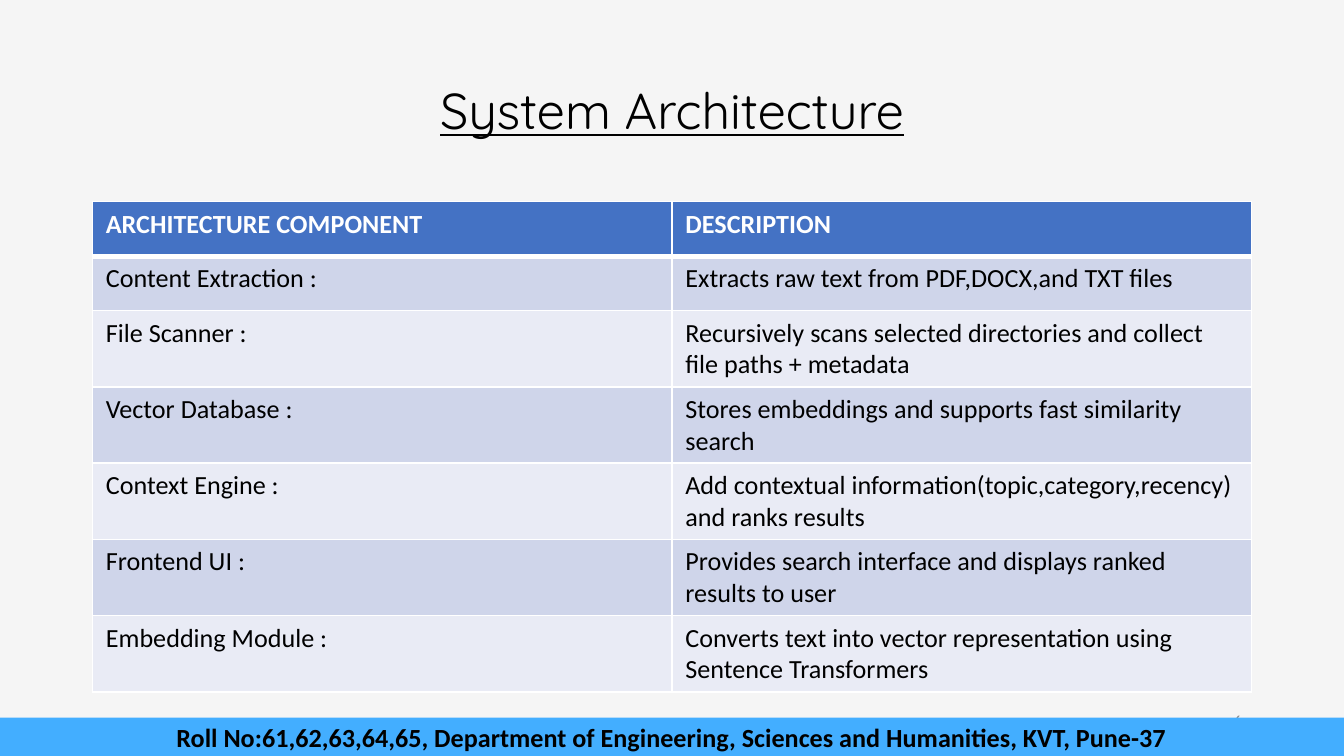
from dataclasses import dataclass

import pptx
import pptx.dml.color
import pptx.enum.shapes
import pptx.enum.text
import pptx.oxml
import pptx.oxml.ns
import pptx.util

Pt = pptx.util.Pt
ALIGN = pptx.enum.text.PP_ALIGN
MIDDLE = pptx.enum.text.MSO_ANCHOR.MIDDLE


@dataclass(frozen=True)
class Theme:
    background: str = "F5F5F5"
    header: str = "4472C4"
    band_dark: str = "CFD5EA"
    band_light: str = "E9EBF5"
    footer: str = "43AEFF"
    white: str = "FFFFFF"
    black: str = "000000"
    grey: str = "8C8C8C"
    title_font: str = "Quicksand"
    body_font: str = "Calibri"
    title_size: float = 27
    body_size: float = 14
    number_size: float = 9


@dataclass(frozen=True)
class Box:
    left: float
    top: float
    width: float
    height: float

    def emu(self) -> tuple:
        return Pt(self.left), Pt(self.top), Pt(self.width), Pt(self.height)


@dataclass(frozen=True)
class Component:
    name: str
    description: str


THEME = Theme()
SLIDE = Box(0, 0, 720, 405)
TITLE = Box(49.5, 21.6, 621, 78.3)
TABLE = Box(49.5, 108, 621, 204.4)
NUMBER = Box(508.5, 375.4, 162, 21.6)
FOOTER = Box(0, 384.5, 720, 20.5)

COMPONENTS = [
    Component("Content Extraction :", "Extracts raw text from PDF,DOCX,and TXT files"),
    Component("File Scanner :",
              "Recursively scans selected directories and collect file paths + metadata"),
    Component("Vector Database :", "Stores embeddings and supports fast similarity search"),
    Component("Context Engine :",
              "Add contextual information(topic,category,recency) and ranks results"),
    Component("Frontend UI :", "Provides search interface and displays ranked results to user"),
    Component("Embedding Module :",
              "Converts text into vector representation using Sentence Transformers"),
]


def rgb(color: str) -> pptx.dml.color.RGBColor:
    return pptx.dml.color.RGBColor.from_string(color)


def write(tf, text: str, *, size: float = THEME.body_size, font: str = THEME.body_font,
          color: str = THEME.black, bold: bool = False, underline: bool = False,
          align=ALIGN.LEFT, spacing: float = 1.0) -> None:
    p = tf.paragraphs[0]
    p.alignment, p.line_spacing = align, spacing
    r = p.add_run()
    r.text = text
    r.font.size, r.font.name = Pt(size), font
    r.font.bold, r.font.underline = bold, underline
    r.font.color.rgb = rgb(color)


def add_label(s, box: Box, text: str, **style) -> None:
    tf = s.shapes.add_textbox(*box.emu()).text_frame
    tf.word_wrap = True
    tf.vertical_anchor = MIDDLE
    tf.margin_left = tf.margin_right = Pt(5.4)
    tf.margin_top = tf.margin_bottom = Pt(2.7)
    write(tf, text, **style)


def set_borders(cell, widths: dict[str, float]) -> None:
    """Borders come before the fill in the cell properties."""
    tc_pr = cell._tc.get_or_add_tcPr()
    for i, (side, width) in enumerate(widths.items()):
        tc_pr.insert(i, pptx.oxml.parse_xml(
            f'<a:{side} {pptx.oxml.ns.nsdecls("a")} w="{Pt(width)}"><a:solidFill>'
            f'<a:srgbClr val="{THEME.white}"/></a:solidFill></a:{side}>'))


def add_component_table(s, box: Box, header: Component, rows: list[Component]) -> None:
    lines = [header, *rows]
    table = s.shapes.add_table(len(lines), 2, *box.emu()).table
    for row in table.rows:
        row.height = Pt(box.height / len(lines))
    for i, line in enumerate(lines):
        is_header = i == 0
        band = THEME.band_dark if i % 2 else THEME.band_light
        for j, text in enumerate((line.name, line.description)):
            cell = table.cell(i, j)
            cell.fill.solid()
            cell.fill.fore_color.rgb = rgb(THEME.header if is_header else band)
            set_borders(cell, {"lnL": 1, "lnR": 1, "lnT": 3 if i == 1 else 1,
                               "lnB": 3 if is_header else 1})
            write(cell.text_frame, text, bold=is_header,
                  color=THEME.white if is_header else THEME.black)


def add_footer(s, box: Box, text: str) -> None:
    sp = s.shapes.add_shape(pptx.enum.shapes.MSO_SHAPE.RECTANGLE, *box.emu())
    sp.shadow.inherit = False
    sp.fill.solid()
    sp.fill.fore_color.rgb = rgb(THEME.footer)
    sp.line.fill.background()
    sp.text_frame.word_wrap = True
    sp.text_frame.vertical_anchor = MIDDLE
    write(sp.text_frame, text, bold=True, align=ALIGN.CENTER)


def main() -> None:
    prs = pptx.Presentation()
    prs.slide_width, prs.slide_height = Pt(SLIDE.width), Pt(SLIDE.height)
    s = prs.slides.add_slide(prs.slide_layouts[6])

    # Background
    s.background.fill.solid()
    s.background.fill.fore_color.rgb = rgb(THEME.background)

    # Title
    add_label(s, TITLE, "System Architecture", size=THEME.title_size, font=THEME.title_font,
              underline=True, align=ALIGN.CENTER, spacing=0.9)

    # Components
    add_component_table(s, TABLE, Component("ARCHITECTURE COMPONENT", "DESCRIPTION"), COMPONENTS)

    # Slide number, partly behind the footer band
    add_label(s, NUMBER, "6", size=THEME.number_size, color=THEME.grey, align=ALIGN.RIGHT)
    add_footer(s, FOOTER, "Roll No:61,62,63,64,65, Department of Engineering, "
                          "Sciences and Humanities, KVT, Pune-37")

    prs.save("out.pptx")


if __name__ == "__main__":
    main()
